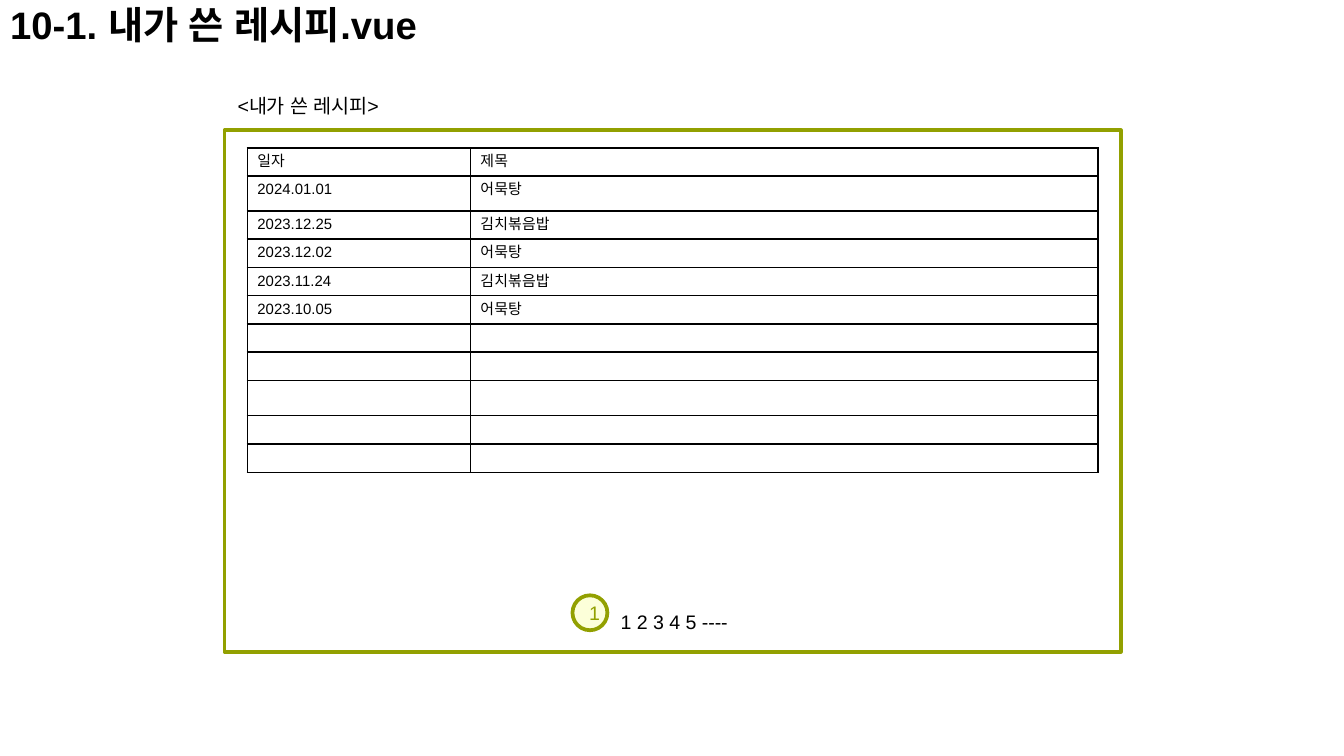
from lxml.etree import SubElement
from pptx import Presentation
from pptx.dml.color import RGBColor
from pptx.enum.shapes import MSO_SHAPE
from pptx.enum.text import MSO_ANCHOR, MSO_AUTO_SIZE, PP_ALIGN
from pptx.oxml import parse_xml
from pptx.oxml.ns import nsdecls, qn
from pptx.util import Inches, Pt

BLACK = RGBColor(0x00, 0x00, 0x00)
OLIVE = RGBColor(0x92, 0xA0, 0x00)
CREAM = RGBColor(0xFC, 0xFF, 0xD9)
FONT = "Arial"
INSET = Pt(5.4)

# Content
TITLE = "10-1. 내가 쓴 레시피.vue"
CAPTION = "<내가 쓴 레시피>"
PAGES = "1 2 3 4 5 ----"
MARKER = "1"
RECIPES = [
    ("일자", "제목"),
    ("2024.01.01", "어묵탕"),
    ("2023.12.25", "김치볶음밥"),
    ("2023.12.02", "어묵탕"),
    ("2023.11.24", "김치볶음밥"),
    ("2023.10.05", "어묵탕"),
]
ROW_COUNT = 11
COLUMN_WIDTHS = (1.66, 4.67)
ROW_HEIGHT, TALL_HEIGHT = 0.21, 0.26
TALL_ROWS = (1, 8)
CELL_SIZE = 8


def write(frame, text, size=10.5, color=BLACK, bold=False, align=None, spacing=None):
    paragraph = frame.paragraphs[0]
    paragraph.alignment = align
    paragraph.line_spacing = spacing
    run = paragraph.add_run()
    run.text = text
    run.font.size = Pt(size)
    run.font.bold = bold
    run.font.color.rgb = color
    run.font.name = FONT
    # Korean letters and the spaces between them use the same font
    SubElement(run.font._element, qn("a:ea"), typeface=FONT)


def add_label(slide, box, text, wrap=False, inset=None, **style):
    frame = slide.shapes.add_textbox(*map(Inches, box)).text_frame
    frame.word_wrap = wrap
    if inset is None:
        frame.auto_size = MSO_AUTO_SIZE.SHAPE_TO_FIT_TEXT
    else:
        frame.margin_left = frame.margin_right = inset
        frame.margin_top = frame.margin_bottom = inset
    write(frame, text, **style)


def add_outlined(slide, preset, box, fill=None):
    shape = slide.shapes.add_shape(preset, *map(Inches, box))
    shape.shadow.inherit = False
    if fill is None:
        shape.fill.background()
    else:
        shape.fill.solid()
        shape.fill.fore_color.rgb = fill
    shape.line.color.rgb = OLIVE
    shape.line.width = Pt(2)
    return shape


def format_cell(cell, text):
    cell.margin_left = cell.margin_right = INSET
    cell.margin_top = cell.margin_bottom = INSET // 2
    if text:
        write(cell.text_frame, text, size=CELL_SIZE)
    else:
        # The end mark keeps an empty row as low as its text size
        SubElement(cell.text_frame.paragraphs[0]._p, qn("a:endParaRPr"),
                   sz=str(CELL_SIZE * 100))
    properties = cell._tc.get_or_add_tcPr()
    for side in ("lnL", "lnR", "lnT", "lnB"):
        properties.append(parse_xml(
            f'<a:{side} {nsdecls("a")} w="{Pt(1)}"><a:solidFill>'
            f'<a:srgbClr val="{BLACK}"/></a:solidFill></a:{side}>'))
    cell.fill.background()


def add_recipe_table(slide):
    heights = [TALL_HEIGHT if row in TALL_ROWS else ROW_HEIGHT for row in range(ROW_COUNT)]
    box = (1.84, 1.1, sum(COLUMN_WIDTHS), sum(heights))
    table = slide.shapes.add_table(ROW_COUNT, len(COLUMN_WIDTHS), *map(Inches, box)).table
    table.first_row = table.horz_banding = False
    for column, width in zip(table.columns, COLUMN_WIDTHS):
        column.width = Inches(width)
    blanks = [("", "")] * (ROW_COUNT - len(RECIPES))
    for row, height, texts in zip(table.rows, heights, RECIPES + blanks):
        row.height = Inches(height)
        for cell, text in zip(row.cells, texts):
            format_cell(cell, text)


def main():
    deck = Presentation()
    deck.slide_width, deck.slide_height = Inches(10), Inches(10 * 9 / 16)
    slide = deck.slides.add_slide(deck.slide_layouts[6])

    # Recipe list inside its frame
    add_outlined(slide, MSO_SHAPE.RECTANGLE, (1.67, 0.97, 6.67, 3.88))
    add_recipe_table(slide)
    add_label(slide, (1.67, 0.65, 1.4, 0.28), CAPTION)

    # Page numbers with their marker
    add_label(slide, (4.52, 4.49, 1.11, 0.28), PAGES)
    marker = add_outlined(slide, MSO_SHAPE.OVAL, (4.26, 4.43, 0.26, 0.26), fill=CREAM)
    marker.text_frame.vertical_anchor = MSO_ANCHOR.MIDDLE
    write(marker.text_frame, MARKER, color=OLIVE, align=PP_ALIGN.CENTER)

    # Title
    add_label(slide, (0, 0, 6.31, 0.44), TITLE, wrap=True, inset=INSET,
              size=20.5, bold=True, spacing=0.8)

    deck.save("out.pptx")


if __name__ == "__main__":
    main()
